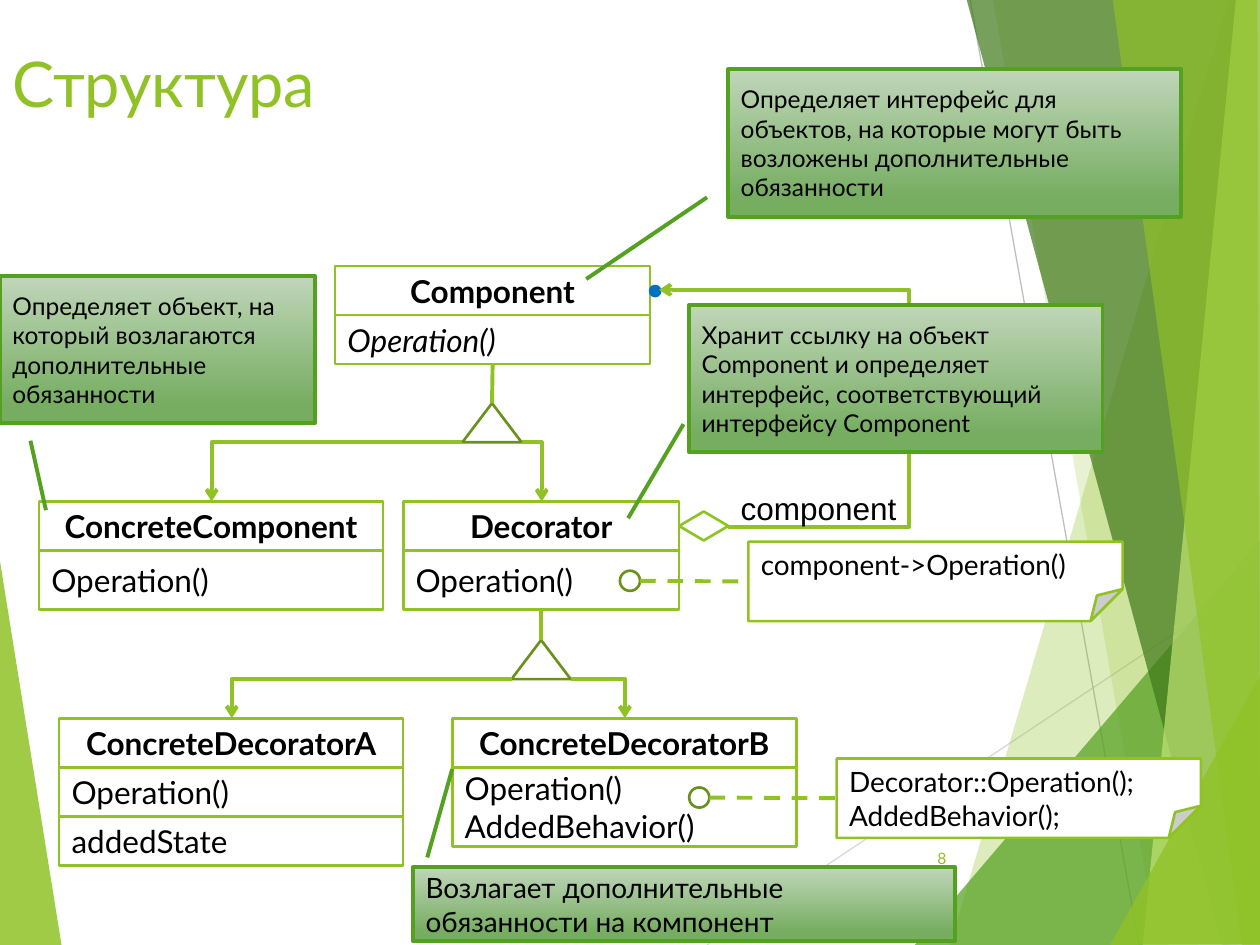
from lxml.etree import SubElement
from pptx import Presentation
from pptx.dml.color import RGBColor
from pptx.enum.dml import MSO_LINE_DASH_STYLE as Dash
from pptx.enum.shapes import MSO_CONNECTOR as Connector, MSO_SHAPE as Shape
from pptx.enum.text import MSO_ANCHOR as Anchor, PP_ALIGN as Align
from pptx.oxml.ns import qn
from pptx.util import Inches, Pt

GREEN, DARK_GREEN, OLIVE = "90C226", "54A021", "6B901C"
WHITE, BLACK, BLUE = "FFFFFF", "000000", "0070C0"
HEADER_HEIGHT = 0.39

FACETS = [
    ([(-0.01, 4.39), (0.49, 7.51), (-0.01, 7.5)], GREEN, 85),
    ([(9.75, 0), (7.54, 7.5), (10.02, 7.51), (10.01, 0.01)], GREEN, 30),
    ([(7.88, -0.01), (9.19, 7.5), (10.01, 7.5), (10.01, -0.01)], GREEN, 20),
    ([(7.26, 7.5), (10, 4.29), (10.01, 7.5)], DARK_GREEN, 72),
    ([(7.67, -0.01), (9.7, 7.5), (10.01, 7.49), (10.01, -0.01)], "3F7819", 70),
    ([(9.81, -0.01), (9.07, 7.5), (10.01, 7.5), (10, -0.01)], "C0E474", 70),
    ([(8.83, -0.01), (9.86, 7.5), (10, 7.5), (9.98, -0.01)], GREEN, 65),
    ([(8.81, 7.5), (10.01, 5.35), (10.01, 7.49)], GREEN, 80),
]
RAYS = [((5.61, 7.5), (10.01, 4.57), "D9D9D9"), ((7.7, 0), (9.04, 7.5), "BFBFBF")]

CLASSES = [
    ("Component", 2.66, 2.11, 2.5, [(0.39, ["Operation()"])]),
    ("ConcreteComponent", 0.31, 3.98, 2.73, [(0.47, ["Operation()"])]),
    ("Decorator", 3.2, 3.98, 2.19, [(0.47, ["Operation()"])]),
    ("ConcreteDecoratorA", 0.47, 5.7, 2.73,
     [(0.39, ["Operation()"]), (0.39, ["addedState"])]),
    ("ConcreteDecoratorB", 3.59, 5.7, 2.73,
     [(0.63, ["Operation()", "AddedBehavior()"])]),
]
INHERITANCES = [
    ("Component", (3.67, 3.2), [(1.68, 3.98), (4.3, 3.98)]),
    ("Decorator", (4.06, 5.08), [(1.84, 5.7), (4.96, 5.7)]),
]
NOTES = [
    ((5.94, 4.3, 2.97, 0.63), ["component->Operation()"], (4.92, 4.53)),
    ((6.64, 6.02, 2.89, 0.63), ["Decorator::Operation();", "AddedBehavior();"],
     (5.47, 6.25)),
]
CALLOUTS = [
    ((5.78, 0.55, 3.59, 1.17), (0.869, -0.047, 1.423, -0.314), 14,
     "Определяет интерфейс для объектов, на которые могут быть возложены "
     "дополнительные обязанности"),
    ((0, 2.19, 2.5, 1.17), (1.118, 0.097, 1.589, 0.146), 14,
     "Определяет объект, на который возлагаются дополнительные обязанности"),
    ((5.47, 2.42, 3.28, 1.17), (0.809, -0.014, 1.447, -0.148), 14,
     "Хранит ссылку на объект Component и определяет интерфейс, "
     "соответствующий интерфейсу Component"),
    ((3.28, 6.88, 4.3, 0.59), (-0.127, 0.026, -1.316, 0.072), 16,
     "Возлагает дополнительные обязанности на компонент"),
]


def color(hex_value):
    return RGBColor.from_string(hex_value)


def set_attributes(target, values):
    for name, value in values.items():
        setattr(target, name, value)


def set_fill(shape, hex_value):
    if hex_value is None:
        shape.fill.background()
    else:
        shape.fill.solid()
        shape.fill.fore_color.rgb = color(hex_value)


def set_line(shape, hex_value, width):
    shape.line.color.rgb = color(hex_value)
    shape.line.width = Pt(width)


def set_guides(shape, guides):
    geometry = shape._element.spPr.find(qn("a:prstGeom"))
    guide_list = geometry.find(qn("a:avLst"))
    if guide_list is None:
        guide_list = SubElement(geometry, qn("a:avLst"))
    for guide in list(guide_list):
        guide_list.remove(guide)
    for name, value in guides.items():
        SubElement(guide_list, qn("a:gd"), name=name, fmla=f"val {round(value * 100000)}")


def write_text(shape, lines, size, hex_value=BLACK, align=Align.LEFT,
               anchor=Anchor.TOP, **font_values):
    frame = shape.text_frame
    set_attributes(frame, {"word_wrap": True, "vertical_anchor": anchor})
    font_values = {"name": "Lato", "size": Pt(size), **font_values}
    frame.text = "\n".join(lines)
    for paragraph in frame.paragraphs:
        paragraph.alignment = align
        font = paragraph.runs[0].font
        set_attributes(font, font_values)
        font.color.rgb = color(hex_value)


def add_label(shapes, box, text, size, hex_value, **values):
    write_text(shapes.add_textbox(*map(Inches, box)), [text], size, hex_value, **values)


def add_figure(shapes, kind, box, fill=WHITE, line=GREEN, width=1.5):
    shape = shapes.add_shape(kind, *map(Inches, box))
    shape.shadow.inherit = False
    set_fill(shape, fill)
    set_line(shape, line, width)
    return shape


def add_line(shapes, start, end, hex_value=GREEN, width=2.25, kind=Connector.STRAIGHT,
             dash=None, arrow=False):
    connector = shapes.add_connector(kind, *map(Inches, (*start, *end)))
    set_line(connector, hex_value, width)
    if dash:
        connector.line.dash_style = dash
    properties = connector._element.spPr
    if arrow:
        SubElement(properties.find(qn("a:ln")), qn("a:tailEnd"), type="arrow")
    SubElement(properties, qn("a:effectLst"))
    return connector


def add_elbow(shapes, start, end, bend, rotation=0):
    connector = add_line(shapes, start, end, kind=Connector.ELBOW, arrow=True)
    set_guides(connector, {"adj1": bend})
    if rotation:
        connector._element.spPr.find(qn("a:xfrm")).set("rot", str(rotation * 60000))


def add_branch(shapes, start, end):
    (x1, y1), (x2, y2) = start, end
    half_drop, half_span = (y2 - y1) / 2, abs(x2 - x1) / 2
    middle_x, middle_y = (x1 + x2) / 2, (y1 + y2) / 2
    side, rotation = (1, 90) if x2 < x1 else (-1, 270)
    add_elbow(shapes, (middle_x - side * half_drop, middle_y - half_span),
              (middle_x + side * half_drop, middle_y + half_span), 0, rotation)


def add_facet(shapes, points, hex_value, opacity):
    first, *rest = [tuple(map(Inches, point)) for point in points]
    builder = shapes.build_freeform(*first)
    builder.add_line_segments(rest, close=True)
    shape = builder.convert_to_shape()
    shape.shadow.inherit = False
    set_fill(shape, hex_value)
    shape.line.fill.background()
    rgb = shape._element.spPr.find(qn("a:solidFill"))[0]
    SubElement(rgb, qn("a:alpha"), val=str(opacity * 1000))


def add_backdrop(slide):
    shapes = slide.shapes.add_group_shape().shapes
    for start, end, hex_value in RAYS:
        add_line(shapes, start, end, hex_value, 0.75)
    for facet in FACETS:
        add_facet(shapes, *facet)


def add_class(slide, name, left, top, width, rows):
    shapes = slide.shapes.add_group_shape().shapes
    header = add_figure(shapes, Shape.RECTANGLE, (left, top, width, HEADER_HEIGHT))
    write_text(header, [name], 18, align=Align.CENTER, anchor=Anchor.MIDDLE, bold=True)
    top += HEADER_HEIGHT
    for height, lines in rows:
        row = add_figure(shapes, Shape.RECTANGLE, (left, top, width, height))
        write_text(row, lines, 18, anchor=Anchor.MIDDLE, italic=name == "Component")
        top += height
    return row


def add_inheritance(shapes, parent, corner, targets):
    (left, top), width, height = corner, 0.47, 0.31
    triangle = add_figure(shapes, Shape.ISOSCELES_TRIANGLE, (left, top, width, height),
                          None, OLIVE)
    stem = add_line(shapes, (left, top), (left, top))
    stem.begin_connect(parent, 2)
    stem.end_connect(triangle, 0)
    for x, target in zip((left, left + width), targets):
        add_branch(shapes, (x, top + height), target)


def add_note(shapes, box, lines, circle):
    note = add_figure(shapes, Shape.FOLDED_CORNER, box)
    set_guides(note, {"adj": 0.404})
    write_text(note, lines, 16)
    (left, top), size = circle, 0.16
    add_figure(shapes, Shape.OVAL, (left, top, size, size), None, OLIVE)
    start = (left + size, top + size / 2)
    add_line(shapes, start, (box[0], start[1]), dash=Dash.DASH).end_connect(note, 1)


def add_callout(shapes, box, pointer, size, text):
    callout = add_figure(shapes, Shape.LINE_CALLOUT_1, box, line=DARK_GREEN, width=2.25)
    set_guides(callout, {f"adj{n}": value for n, value in enumerate(pointer, 1)})
    callout.fill.gradient()
    callout.fill.gradient_angle = 270
    stops = callout.fill.gradient_stops
    for stop, position, hex_value in zip(stops, (0, 0.88), ("C0D6B9", "76AD61")):
        stop.position = position
        stop.color.rgb = color(hex_value)
    write_text(callout, [text], size, anchor=Anchor.MIDDLE)


def main():
    presentation = Presentation()
    set_attributes(presentation, {"slide_width": Inches(10), "slide_height": Inches(7.5)})
    slide = presentation.slides.add_slide(presentation.slide_layouts[6])
    shapes = slide.shapes
    add_backdrop(slide)
    add_label(shapes, (0, 0.3, 9, 1.25), "Структура", 36, GREEN)
    last_rows = {values[0]: add_class(slide, *values) for values in CLASSES}
    add_figure(shapes, Shape.OVAL, (5.16, 2.27, 0.08, 0.08), BLUE, BLUE)
    add_figure(shapes, Shape.DIAMOND, (5.39, 4.06, 0.39, 0.23))
    add_elbow(shapes, (5.78, 4.18), (5.23, 2.3), -2.61)
    add_label(shapes, (5.78, 3.83, 1.48, 0.4), "component", 18, BLACK, name="Arial")
    for inheritance in INHERITANCES:
        parent, *geometry = inheritance
        add_inheritance(shapes, last_rows[parent], *geometry)
    for add, items in ((add_note, NOTES), (add_callout, CALLOUTS)):
        for item in items:
            add(shapes, *item)
    add_label(shapes, (7.05, 6.61, 0.56, 0.4), "8", 9, GREEN,
              align=Align.RIGHT, anchor=Anchor.MIDDLE)
    presentation.save("out.pptx")


main()
